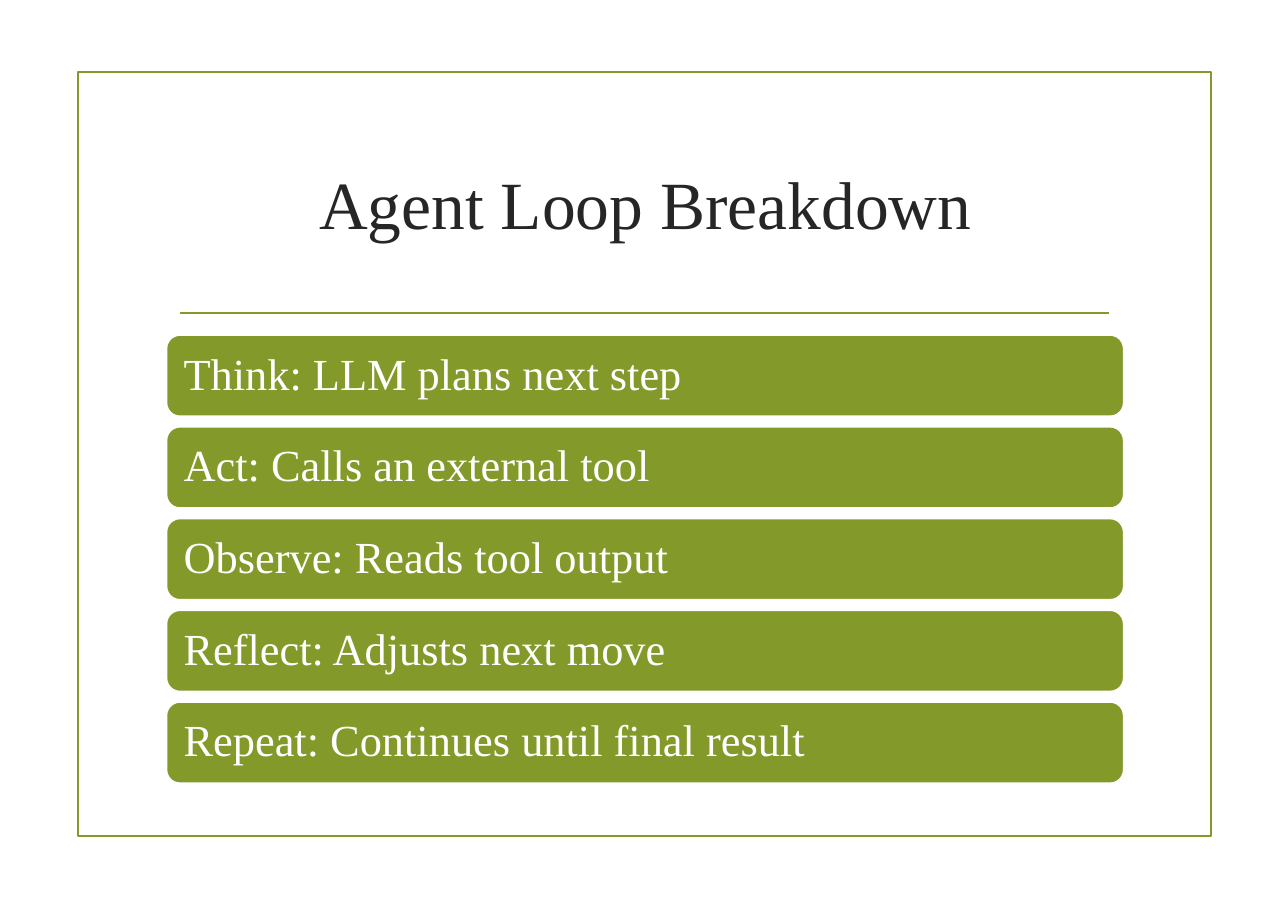
from lxml.etree import SubElement
from pptx import Presentation
from pptx.dml.color import RGBColor
from pptx.enum.shapes import MSO_CONNECTOR, MSO_SHAPE
from pptx.enum.text import MSO_ANCHOR, MSO_AUTO_SIZE, PP_ALIGN
from pptx.oxml.ns import qn
from pptx.util import Pt

OLIVE = RGBColor(0x83, 0x99, 0x2A)
CHARCOAL = RGBColor(0x26, 0x26, 0x26)
WHITE = RGBColor(0xFF, 0xFF, 0xFF)
FONT = "Times New Roman"
LINE_WIDTH = Pt(1.25)

STEPS = [
    "Think: LLM plans next step",
    "Act: Calls an external tool",
    "Observe: Reads tool output",
    "Reflect: Adjusts next move",
    "Repeat: Continues until final result",
]
STEP_LEFT, STEP_TOP = 108.7, 218.9
STEP_WIDTH, STEP_HEIGHT = 625.7, 53.3
STEP_PITCH = 59.95


def write_text(shape, text, size, color, alignment):
    frame = shape.text_frame
    frame.text = text
    frame.word_wrap = True
    frame.auto_size = MSO_AUTO_SIZE.NONE
    frame.vertical_anchor = MSO_ANCHOR.MIDDLE
    paragraph = frame.paragraphs[0]
    paragraph.alignment = alignment
    paragraph.line_spacing = 0.9
    font = paragraph.runs[0].font
    font.name = FONT
    font.size = Pt(size)
    font.color.rgb = color


prs = Presentation()
prs.slide_width, prs.slide_height = Pt(841.7), Pt(594.7)
slide = prs.slides.add_slide(prs.slide_layouts[5])
shapes = slide.shapes

title = shapes.title
title.left, title.top, title.width, title.height = Pt(108.7), Pt(79.2), Pt(626.4), Pt(113)
write_text(title, "Agent Loop Breakdown", 44.1, CHARCOAL, PP_ALIGN.CENTER)

border = shapes.add_shape(MSO_SHAPE.RECTANGLE, Pt(51.1), Pt(46.8), Pt(740.2), Pt(499.7))
border.shadow.inherit = False
border.fill.background()
border.line.color.rgb = OLIVE
border.line.width = LINE_WIDTH

divider = shapes.add_connector(MSO_CONNECTOR.STRAIGHT, Pt(117.5), Pt(204.5), Pt(725), Pt(204.5))
divider.line.color.rgb = OLIVE
divider.line.width = LINE_WIDTH
SubElement(divider.element.spPr, qn("a:effectLst"))

for index, step in enumerate(STEPS):
    bar = shapes.add_shape(
        MSO_SHAPE.ROUNDED_RECTANGLE,
        Pt(STEP_LEFT), Pt(STEP_TOP + index * STEP_PITCH), Pt(STEP_WIDTH), Pt(STEP_HEIGHT),
    )
    bar.shadow.inherit = False
    bar.fill.solid()
    bar.fill.fore_color.rgb = OLIVE
    bar.line.color.rgb = WHITE
    bar.line.width = LINE_WIDTH
    write_text(bar, step, 29, WHITE, PP_ALIGN.LEFT)
    for side in ("left", "top", "right", "bottom"):
        setattr(bar.text_frame, f"margin_{side}", Pt(8.7))

prs.save("out.pptx")
